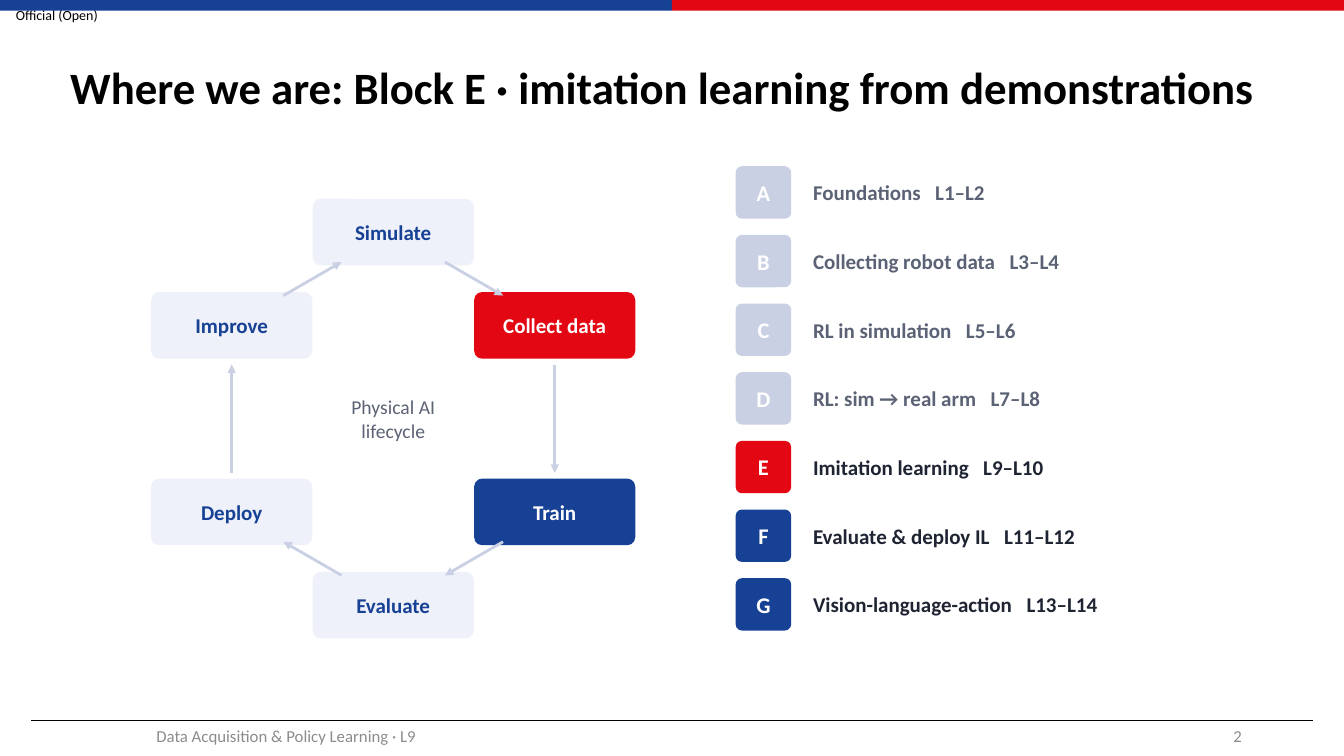
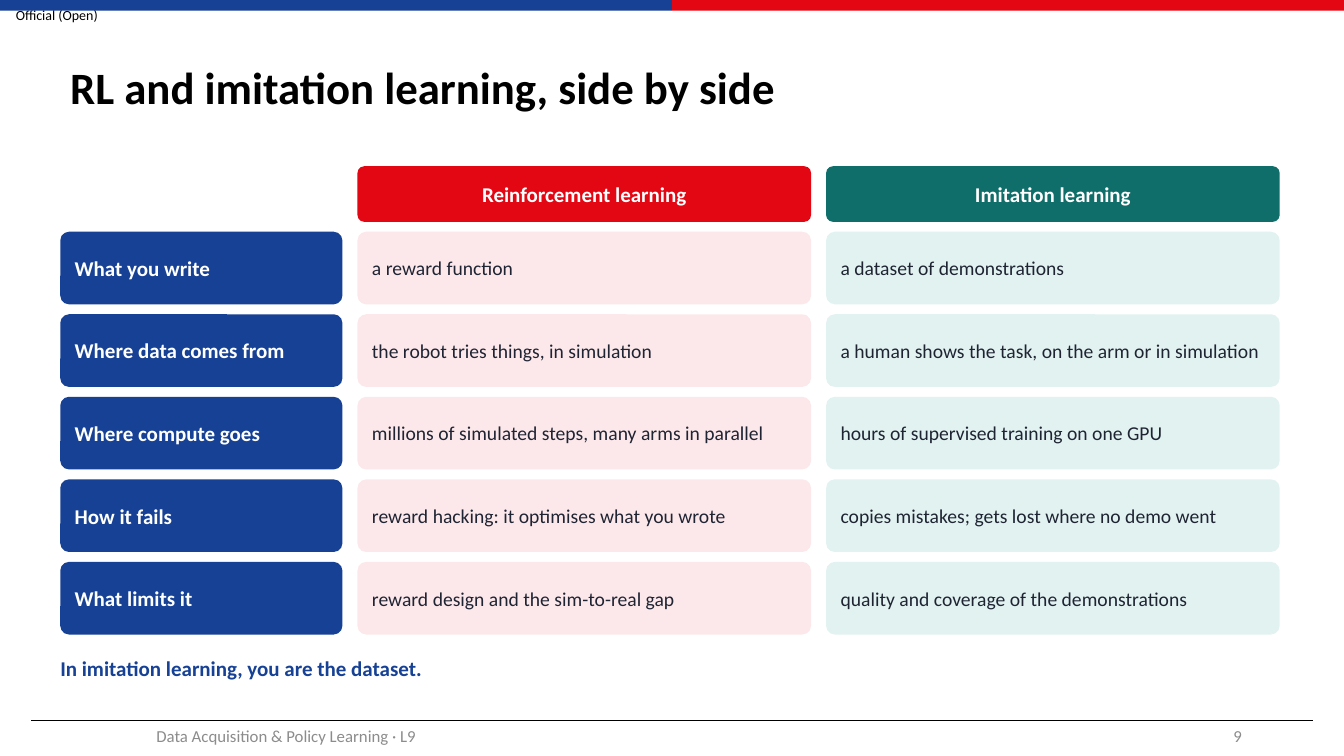
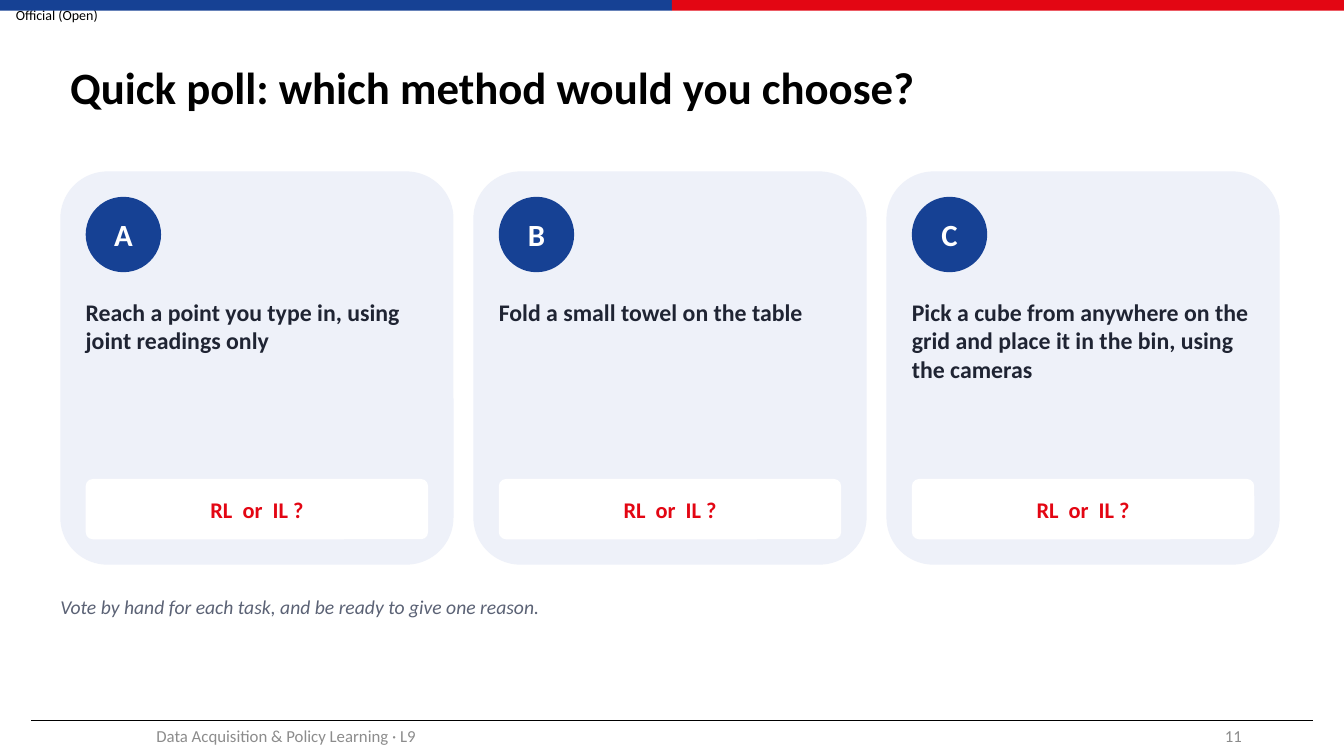
from math import cos, radians, sin

from lxml.etree import SubElement
from pptx import Presentation
from pptx.dml.color import RGBColor
from pptx.enum.shapes import MSO_CONNECTOR, MSO_SHAPE as SHAPE
from pptx.enum.text import MSO_ANCHOR as ANCHOR, PP_ALIGN as ALIGN
from pptx.oxml.ns import qn
from pptx.util import Cm, Pt

COLORS = {
    "blue": "164194", "red": "E30613", "teal": "0F6E6A",
    "pale_blue": "EEF1F9", "pale_red": "FCE8EA", "pale_teal": "E2F2F1",
    "faded": "C9D0E3", "muted": "5B6275", "footer": "8C8C8C",
    "ink": "1F2433", "black": "000000", "white": "FFFFFF",
}
FONT = "Calibri"
SLIDE_W, SLIDE_H = 33.87, 19.05
MARGIN = 1.52
CONTENT_W = 30.73
ROUND = SHAPE.ROUNDED_RECTANGLE


def add_box(s, kind, x, y, w, h, text="", fill=None, size=15, color="white", bold=True,
            italic=False, align=ALIGN.LEFT, anchor=ANCHOR.MIDDLE, inset=(0.3, 0.15), gap=0):
    """Add a shape, or a text box if kind is None.

    In text, a newline starts a paragraph and | is a space widened by gap points.
    """
    area = Cm(x), Cm(y), Cm(w), Cm(h)
    if kind is None:
        sp = s.shapes.add_textbox(*area)
    else:
        sp = s.shapes.add_shape(kind, *area)
        sp.shadow.inherit = False
        sp.fill.solid()
        sp.fill.fore_color.rgb = RGBColor.from_string(COLORS[fill])
        sp.line.fill.background()
        if kind == ROUND:
            sp.adjustments[0] = 0.12
    if not text:
        return sp
    tf = sp.text_frame
    tf.word_wrap = True
    tf.vertical_anchor = anchor
    tf.margin_left = tf.margin_right = Cm(inset[0])
    tf.margin_top = tf.margin_bottom = Cm(inset[1])
    for i, line in enumerate(text.split("\n")):
        p = tf.paragraphs[0] if i == 0 else tf.add_paragraph()
        p.alignment = align
        for part in line.replace("|", "| |").split("|"):
            r = p.add_run()
            r.text = part
            r.font.name, r.font.size = FONT, Pt(size)
            r.font.bold, r.font.italic = bold, italic
            r.font.color.rgb = RGBColor.from_string(COLORS[color])
            if part == " ":
                r.font._element.set("spc", str(round(gap * 100)))
    return sp


def add_line(s, x1, y1, x2, y2, color, width, arrow=False):
    line = s.shapes.add_connector(MSO_CONNECTOR.STRAIGHT, Cm(x1), Cm(y1), Cm(x2), Cm(y2))
    line.line.color.rgb = RGBColor.from_string(COLORS[color])
    line.line.width = Pt(width)
    if arrow:
        SubElement(line.line._get_or_add_ln(), qn("a:tailEnd"), type="triangle")
    SubElement(line._element.spPr, qn("a:effectLst"))


prs = Presentation()
prs.slide_width, prs.slide_height = Cm(SLIDE_W), Cm(SLIDE_H)

# Shared frame: marking, bands, title and footer
titles = {
    2: "Where we are: Block E · imitation learning from demonstrations",
    9: "RL and imitation learning, side by side",
    11: "Quick poll: which method would you choose?",
}
slides = []
for number, title in titles.items():
    s = prs.slides.add_slide(prs.slide_layouts[6])
    slides.append(s)
    add_box(s, None, 0.4, 0, 2.5, 0.74, "Official (Open)", size=10, color="black",
            bold=False, inset=(0, 0))
    for i, fill in enumerate(("blue", "red")):
        add_box(s, SHAPE.RECTANGLE, i * SLIDE_W / 2, 0, SLIDE_W / 2, 0.27, fill=fill)
    add_line(s, 0.79, 18.14, 33.1, 18.14, "black", 0.5)
    heading = add_box(s, None, MARGIN, 0.76, 30.68, 3, title, size=32, color="black",
                      inset=(0.25, 0.13))
    heading.text_frame.paragraphs[0].line_spacing = 0.9
    for x, w, text, align in (
            (1.5, 11.43, "Data Acquisition & Policy Learning · L9", ALIGN.CENTER),
            (23.93, 7.62, str(number), ALIGN.RIGHT)):
        add_box(s, None, x, 18.03, w, 1.02, text, size=12, color="footer", bold=False,
                align=align, inset=(0.25, 0.13))
roadmap, comparison, poll = slides

# Roadmap: lifecycle ring
CENTER_X, CENTER_Y, RADIUS = 9.91, 10.55, 4.7
NODE_W, NODE_H = 4.06, 1.68
stages = [
    ("Simulate", "pale_blue", "blue"),
    ("Collect data", "red", "white"),
    ("Train", "blue", "white"),
    ("Evaluate", "pale_blue", "blue"),
    ("Deploy", "pale_blue", "blue"),
    ("Improve", "pale_blue", "blue"),
]
angles = [radians(60 * i - 90) for i in range(len(stages))]
centers = [(CENTER_X + RADIUS * cos(a), CENTER_Y + RADIUS * sin(a)) for a in angles]
for (x, y), (name, fill, color) in zip(centers, stages):
    add_box(roadmap, ROUND, x - NODE_W / 2, y - NODE_H / 2, NODE_W, NODE_H, name,
            fill=fill, color=color, align=ALIGN.CENTER)
for (x1, y1), (x2, y2) in zip(centers, centers[1:] + centers[:1]):
    dx, dy = x2 - x1, y2 - y1
    trim = 0.21 if abs(dx) < 0.01 else 0.32
    add_line(roadmap, x1 + trim * dx, y1 + trim * dy, x2 - trim * dx, y2 - trim * dy,
             "faded", 2, arrow=True)
add_box(roadmap, None, CENTER_X - 2.79, CENTER_Y - 0.89, 5.58, 1.78, "Physical AI\nlifecycle",
        size=14, color="muted", bold=False, align=ALIGN.CENTER)

# Roadmap: course blocks
blocks = [
    ("Foundations|L1–L2", "faded", "muted"),
    ("Collecting robot data|L3–L4", "faded", "muted"),
    ("RL in simulation|L5–L6", "faded", "muted"),
    ("RL: sim → real arm|L7–L8", "faded", "muted"),
    ("Imitation learning|L9–L10", "red", "ink"),
    ("Evaluate & deploy IL|L11–L12", "blue", "ink"),
    ("Vision-language-action|L13–L14", "blue", "ink"),
]
for i, (letter, (label, fill, color)) in enumerate(zip("ABCDEFG", blocks)):
    y = 4.19 + i * 1.73
    add_box(roadmap, ROUND, 18.54, y, 1.4, 1.32, letter, fill=fill, size=16,
            align=ALIGN.CENTER, inset=(0.05, 0.05))
    add_box(roadmap, None, 20.19, y - 0.05, 11.68, 1.42, label, color=color, gap=6.8)

# Comparison grid
TOPIC_W, METHOD_W, COLUMN_GAP = 7.11, 11.43, 0.38
HEADER_Y, HEADER_H, ROW_H, ROW_GAP = 4.19, 1.4, 1.83, 0.25
method_x = [MARGIN + TOPIC_W + COLUMN_GAP + i * (METHOD_W + COLUMN_GAP) for i in range(2)]
headers = [("Reinforcement learning", "red"), ("Imitation learning", "teal")]
rows = [
    ("What you write", "a reward function", "a dataset of demonstrations"),
    ("Where data comes from", "the robot tries things, in simulation",
     "a human shows the task, on the arm or in simulation"),
    ("Where compute goes", "millions of simulated steps, many arms in parallel",
     "hours of supervised training on one GPU"),
    ("How it fails", "reward hacking: it optimises what you wrote",
     "copies mistakes; gets lost where no demo went"),
    ("What limits it", "reward design and the sim-to-real gap",
     "quality and coverage of the demonstrations"),
]
for x, (name, fill) in zip(method_x, headers):
    add_box(comparison, ROUND, x, HEADER_Y, METHOD_W, HEADER_H, name, fill=fill,
            align=ALIGN.CENTER)
for i, (topic, *answers) in enumerate(rows):
    y = HEADER_Y + HEADER_H + ROW_GAP + i * (ROW_H + ROW_GAP)
    add_box(comparison, ROUND, MARGIN, y, TOPIC_W, ROW_H, topic, fill="blue")
    for x, answer, fill in zip(method_x, answers, ("pale_red", "pale_teal")):
        add_box(comparison, ROUND, x, y, METHOD_W, ROW_H, answer, fill=fill, size=14,
                color="ink", bold=False)
add_box(comparison, None, MARGIN, 16.51, CONTENT_W, 0.89,
        "In imitation learning, you are the dataset.", color="blue",
        anchor=ANCHOR.TOP, inset=(0, 0))

# Poll cards
CARD, CARD_Y, CARD_GAP, PAD = 9.91, 4.32, 0.5, 0.64
INNER_W = CARD - 2 * PAD
tasks = [
    "Reach a point you type in, using joint readings only",
    "Fold a small towel on the table",
    "Pick a cube from anywhere on the grid and place it in the bin, using the cameras",
]
for i, (letter, task) in enumerate(zip("ABC", tasks)):
    x = MARGIN + i * (CARD + CARD_GAP)
    add_box(poll, ROUND, x, CARD_Y, CARD, CARD, fill="pale_blue")
    add_box(poll, SHAPE.OVAL, x + PAD, CARD_Y + PAD, 1.9, 1.9, letter, fill="blue", size=22,
            align=ALIGN.CENTER, inset=(0, 0))
    add_box(poll, None, x + PAD, 7.49, INNER_W, 4.57, task, size=17, color="ink",
            anchor=ANCHOR.TOP, inset=(0, 0))
    add_box(poll, ROUND, x + PAD, 12.07, INNER_W, 1.52, "RL|or|IL ?", fill="white", size=16,
            color="red", align=ALIGN.CENTER, gap=3.6)
add_box(poll, None, MARGIN, 14.99, CONTENT_W, 1.02,
        "Vote by hand for each task, and be ready to give one reason.", size=14,
        color="muted", bold=False, italic=True, anchor=ANCHOR.TOP, inset=(0, 0))

prs.save("out.pptx")
